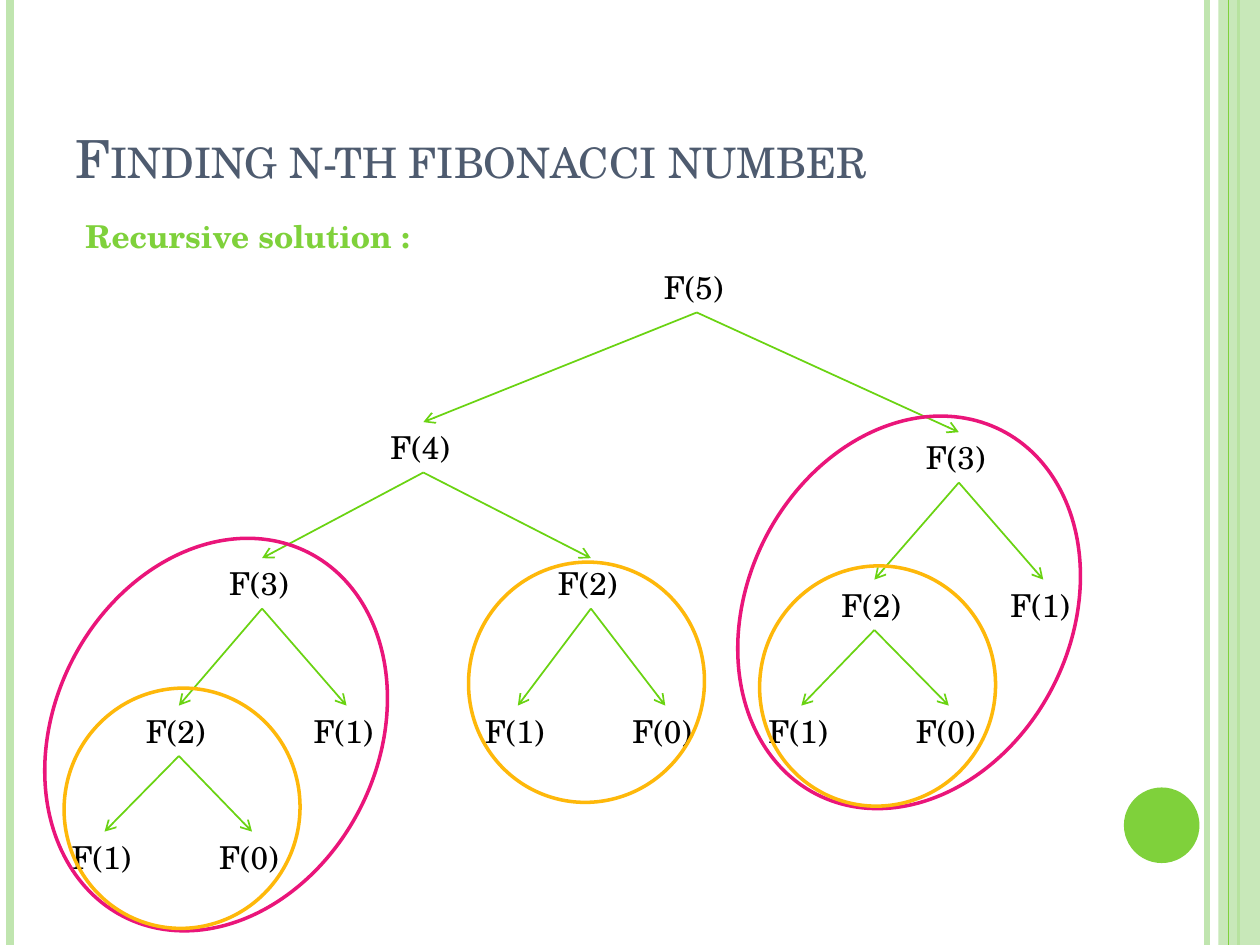
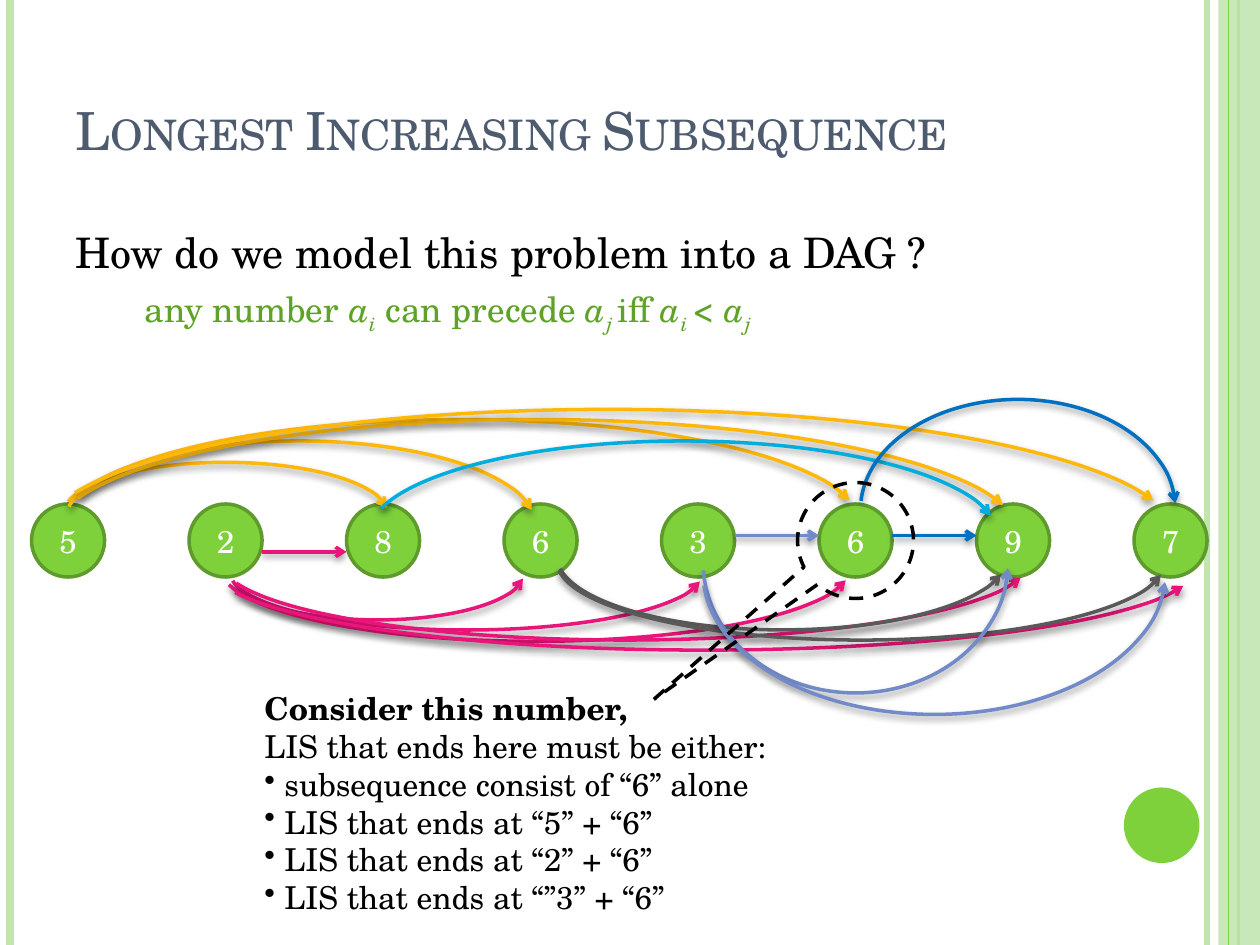
from dataclasses import dataclass

from lxml import etree
from pptx import Presentation
from pptx import util as u
from pptx.dml.color import RGBColor
from pptx.enum import dml, shapes, text
from pptx.oxml.ns import qn

Inches, Pt = u.Inches, u.Pt


@dataclass(frozen=True)
class Theme:
    font: str = "TeX Gyre Schola"
    title: str = "4E5B6F"
    ink: str = "000000"
    white: str = "FFFFFF"
    green: str = "7FD13B"
    pale: str = "C0E5AF"
    leaf: str = "6AD312"
    rim: str = "5E9B2C"
    rule: str = "5FA326"
    pink: str = "EA157A"
    amber: str = "FEB80A"
    cyan: str = "00ADDC"
    grey: str = "595959"
    violet: str = "738AC8"
    blue: str = "0070C0"
    title_size: int = 30
    lead_size: int = 24
    rule_size: int = 20
    text_size: int = 18


theme = Theme()


def style_text(frame, size=theme.text_size, color=theme.ink):
    frame.word_wrap = True
    for para in frame.paragraphs:
        for span in para.runs:
            span.font.name = theme.font
            span.font.size = Pt(size)
            span.font.color.rgb = RGBColor.from_string(color)


def style_line(shape, color, width, arrow=False, shadow=False):
    """Set the outline and replace the theme's effects, with a soft drop shadow on request."""
    shape.line.color.rgb = RGBColor.from_string(color)
    shape.line.width = Pt(width)
    properties = shape._element.spPr
    if arrow:
        etree.SubElement(properties.find(qn("a:ln")), qn("a:tailEnd"), type="arrow")
    effects = etree.SubElement(properties, qn("a:effectLst"))
    if shadow:
        drop = etree.SubElement(effects, qn("a:outerShdw"), blurRad=str(Pt(4)),
                                dist=str(Pt(2)), dir="5400000", rotWithShape="0")
        black = etree.SubElement(drop, qn("a:srgbClr"), val="000000")
        etree.SubElement(black, qn("a:alpha"), val="40000")


deck = Presentation()
deck.slide_width, deck.slide_height = Inches(10), Inches(7.5)

# Shared frame: title, side bands and corner disc
pages = []
for heading, title_height in [("Finding n-th fibonacci number", 1.25),
                              ("Longest Increasing Subsequence", 1.03)]:
    page = deck.slides.add_slide(deck.slide_layouts[5])
    pages.append(page)
    title = page.shapes.title
    title.left, title.top = Inches(0.5), Inches(0.3)
    title.width, title.height = Inches(8.17), Inches(title_height)
    title.text_frame.text = heading
    title.text_frame.vertical_anchor = text.MSO_ANCHOR.BOTTOM
    title.text_frame.auto_size = text.MSO_AUTO_SIZE.NONE
    title.text_frame.paragraphs[0].alignment = text.PP_ALIGN.LEFT
    style_text(title.text_frame, theme.title_size, theme.title)
    title.text_frame.paragraphs[0].runs[0].font._element.set("cap", "small")

    for x, color, width in [(9.58, theme.pale, 3), (0.08, theme.pale, 4.5),
                            (9.83, theme.green, 1.5), (9.75, theme.green, 0.75)]:
        if x == 9.75:  # the band covers every stripe but this one
            band = page.shapes.add_shape(shapes.MSO_SHAPE.RECTANGLE, Inches(9.67), 0,
                                         Inches(0.33), Inches(7.5))
            band.shadow.inherit = False
            band.fill.solid()
            band.fill.fore_color.rgb = RGBColor.from_string(theme.pale)
            band.line.fill.background()
            tint = next(band._element.spPr.iter(qn("a:srgbClr")))
            etree.SubElement(tint, qn("a:alpha"), val="87000")
        stripe = page.shapes.add_connector(shapes.MSO_CONNECTOR.STRAIGHT,
                                           Inches(x), 0, Inches(x), Inches(7.5))
        style_line(stripe, color, width)

    disc = page.shapes.add_shape(shapes.MSO_SHAPE.OVAL, Inches(8.92), Inches(6.25),
                                 Inches(0.6), Inches(0.6))
    disc.shadow.inherit = False
    disc.fill.solid()
    disc.fill.fore_color.rgb = RGBColor.from_string(theme.green)
    disc.line.fill.background()

tree_page, graph_page = pages

# Slide 1: recursion tree, each call as (n, left, top, index of its caller)
calls = [
    (5, 5.17, 2.08, None),
    (4, 3, 3.35, 0), (3, 7.25, 3.43, 0),
    (3, 1.72, 4.43, 1), (2, 4.33, 4.43, 1),
    (2, 6.58, 4.6, 2), (1, 7.92, 4.6, 2),
    (2, 1.06, 5.6, 3), (1, 2.39, 5.6, 3),
    (1, 3.75, 5.6, 4), (0, 4.92, 5.6, 4),
    (1, 6, 5.6, 5), (0, 7.17, 5.6, 5),
    (1, 0.47, 6.6, 7), (0, 1.64, 6.6, 7),
]
call_boxes = []
for n, left, top, caller in calls:
    box = tree_page.shapes.add_textbox(Inches(left), Inches(top), Inches(0.72), Inches(0.4))
    box.text_frame.text = f"F({n})"
    style_text(box.text_frame)
    call_boxes.append(box)
    if caller is not None:
        branch = tree_page.shapes.add_connector(shapes.MSO_CONNECTOR.STRAIGHT, 0, 0, 0, 0)
        branch.begin_connect(call_boxes[caller], 2)
        branch.end_connect(box, 0)
        style_line(branch, theme.leaf, 1, arrow=True)

repeats = [
    (theme.pink, 2.57, 3.24, 26.8, [(0.43, 4.21), (5.93, 3.24)]),
    (theme.amber, 1.87, 1.91, 15.5, [(0.51, 5.46), (6.03, 4.49), (3.72, 4.46)]),
]
for color, width, height, angle, places in repeats:
    for left, top in places:
        ring = tree_page.shapes.add_shape(shapes.MSO_SHAPE.OVAL, Inches(left), Inches(top),
                                          Inches(width), Inches(height))
        ring.rotation = angle
        ring.fill.background()
        style_line(ring, color, 2)

caption = tree_page.shapes.add_textbox(Inches(0.58), Inches(1.67), Inches(2.84), Inches(0.4))
caption.text_frame.text = "Recursive solution :"
style_text(caption.text_frame, color=theme.green)
caption.text_frame.paragraphs[0].runs[0].font.bold = True

# Slide 2: question and precedence rule
question = graph_page.shapes.add_textbox(Inches(0.5), Inches(1.75), Inches(8.42), Inches(1.17))
question.text_frame.text = "How do we model this problem into a DAG ?"
style_text(question.text_frame, theme.lead_size)
rule = question.text_frame.add_paragraph()
rule_parts = [("any number ", ""), ("a", "i"), ("i", "sub"), (" can precede ", ""),
              ("a", "i"), ("j ", "sub"), ("iff ", ""), ("a", "i"), ("i ", "sub"),
              ("< a", "i"), ("j", "sub")]
for words, kind in rule_parts:
    span = rule.add_run()
    span.text = words
    span.font.name = theme.font
    span.font.size = Pt(theme.rule_size)
    span.font.color.rgb = RGBColor.from_string(theme.rule)
    span.font.italic = kind != ""
    if kind == "sub":
        span.font._element.set("baseline", "-25000")
rule._p.get_or_add_pPr().set("marL", str(Inches(0.55)))
for para in question.text_frame.paragraphs:
    para.space_before = Pt(6)
    para.alignment = text.PP_ALIGN.JUSTIFY

# Sequence nodes
for index, value in enumerate([5, 2, 8, 6, 3, 6, 9, 7]):
    node = graph_page.shapes.add_shape(shapes.MSO_SHAPE.OVAL, Inches(0.25 + 1.25 * index),
                                       Inches(4), Inches(0.58), Inches(0.58))
    node.fill.solid()
    node.fill.fore_color.rgb = RGBColor.from_string(theme.green)
    style_line(node, theme.rim, 2)
    frame = node.text_frame
    frame.text = str(value)
    frame.margin_left = frame.margin_right = frame.margin_top = frame.margin_bottom = 0
    frame.vertical_anchor = text.MSO_ANCHOR.MIDDLE
    frame.paragraphs[0].alignment = text.PP_ALIGN.CENTER
    style_text(frame, color=theme.white)

# Edges per source: colour, below the nodes, arcs (left, top, width, height, start, end degrees)
edges = [
    (theme.amber, False, [(0.5, 3.67, 2.58, 0.83, 184.76, 357.66),
                          (0.5, 3.5, 3.75, 1.33, 184.56, 356.34),
                          (0.5, 3.33, 6.33, 1.67, 184.56, 356.34),
                          (0.42, 3.33, 7.67, 1.83, 184.56, 356.34),
                          (0.33, 3.25, 9, 2, 184.56, 356.34)]),
    (theme.pink, True, [(1.83, 4.17, 2.33, 0.75, 183.2, 357.66),
                        (1.83, 4.08, 3.75, 0.92, 183.2, 357.66),
                        (1.75, 3.92, 5, 1.17, 183.2, 357.66),
                        (1.75, 3.83, 6.42, 1.25, 183.2, 357.66),
                        (1.67, 3.83, 7.83, 1.33, 183.2, 357.66)]),
    (theme.cyan, False, [(2.92, 3.5, 5, 1.5, 185.21, 356.31)]),
    (theme.grey, True, [(4.42, 3.83, 3.58, 1.17, 183.2, 355.26),
                        (4.42, 3.83, 4.83, 1.25, 181.71, 357.39)]),
    (theme.violet, True, [(5.58, 3.42, 2.42, 2.08, 183.2, 357.66),
                          (5.58, 3.42, 3.67, 2.25, 183.2, 357.66)]),
    (theme.blue, False, [(6.83, 3.17, 2.5, 1.75, 183.2, 357.66)]),
]
for color, below, arcs in edges:
    for left, top, width, height, start, end in arcs:
        arc = graph_page.shapes.add_shape(shapes.MSO_SHAPE.ARC, Inches(left), Inches(top),
                                          Inches(width), Inches(height))
        # one degree is 60000 units, and an adjustment of 1 is 100000
        arc.adjustments[0], arc.adjustments[1] = start * 0.6, end * 0.6
        if below:
            arc._element.spPr.xfrm.set("flipV", "1")
        arc.fill.background()
        style_line(arc, color, 2, arrow=True, shadow=True)

for color, left, y in [(theme.pink, 2.08, 4.38), (theme.violet, 5.83, 4.25),
                       (theme.blue, 7.08, 4.25)]:
    step = graph_page.shapes.add_connector(shapes.MSO_CONNECTOR.STRAIGHT, Inches(left),
                                           Inches(y), Inches(left + 0.67), Inches(y))
    style_line(step, color, 2, arrow=True, shadow=True)

# Callout and its explanation
callout = graph_page.shapes.add_shape(shapes.MSO_SHAPE.OVAL_CALLOUT, Inches(6.33),
                                      Inches(3.83), Inches(0.92), Inches(0.92))
callout.adjustments[0], callout.adjustments[1] = -1.74, 1.37
callout.fill.background()
style_line(callout, theme.ink, 2)
callout.line.dash_style = dml.MSO_LINE.DASH

note = graph_page.shapes.add_textbox(Inches(2), Inches(5.42), Inches(4.57), Inches(1.92))
note.text_frame.text = "Consider this number,\vLIS that ends here must be either:"
note.text_frame.paragraphs[0].runs[0].font.bold = True
for option in ["subsequence consist of “6” alone", "LIS that ends at “5” + “6”",
               "LIS that ends at “2” + “6”", "LIS that ends at “”3” + “6”"]:
    para = note.text_frame.add_paragraph()
    para.text = option
    bullet = para._p.get_or_add_pPr()
    bullet.set("marL", str(Inches(0.16)))
    bullet.set("indent", str(-Inches(0.16)))
    etree.SubElement(bullet, qn("a:buChar"), char="•")
style_text(note.text_frame)

deck.save("out.pptx")
